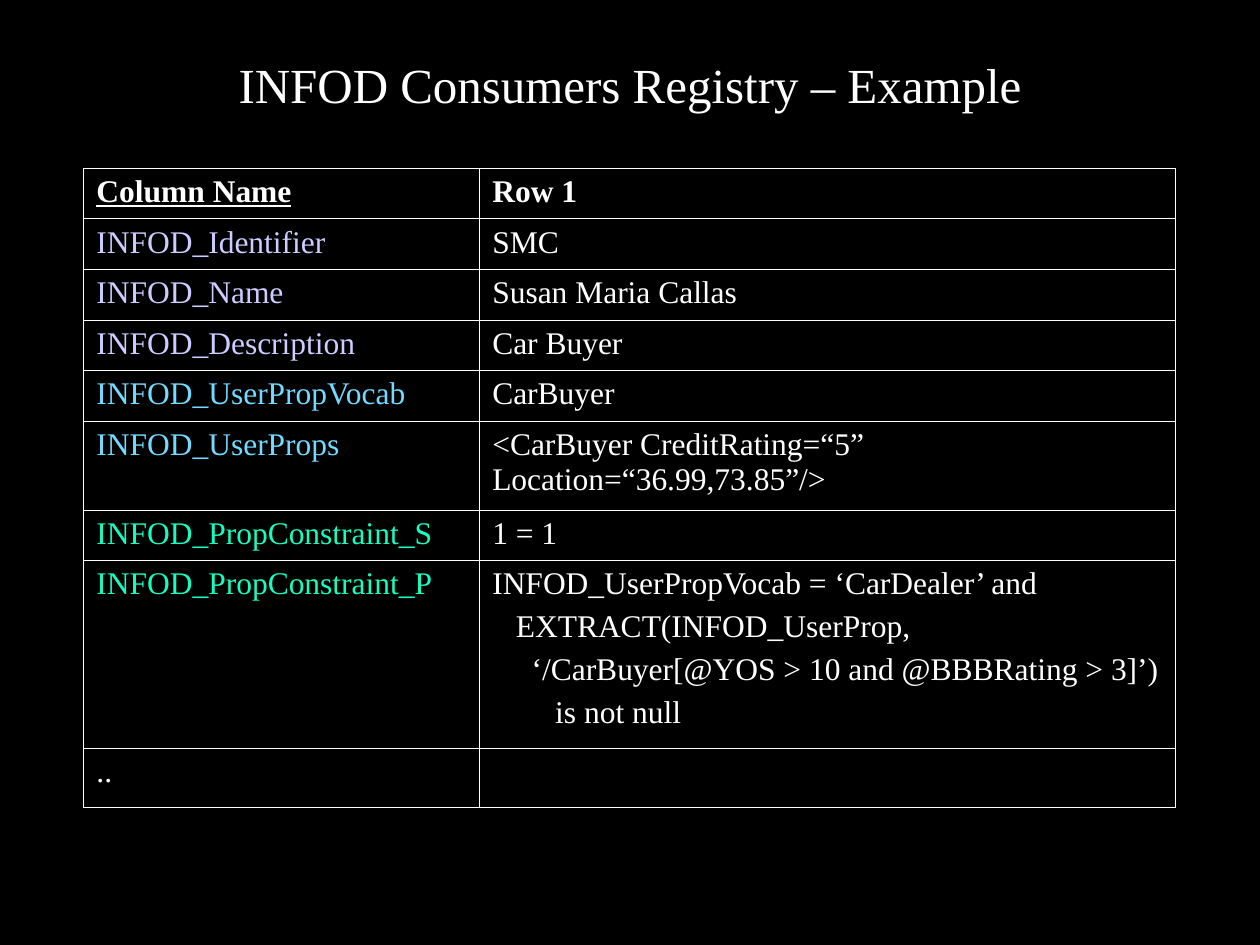
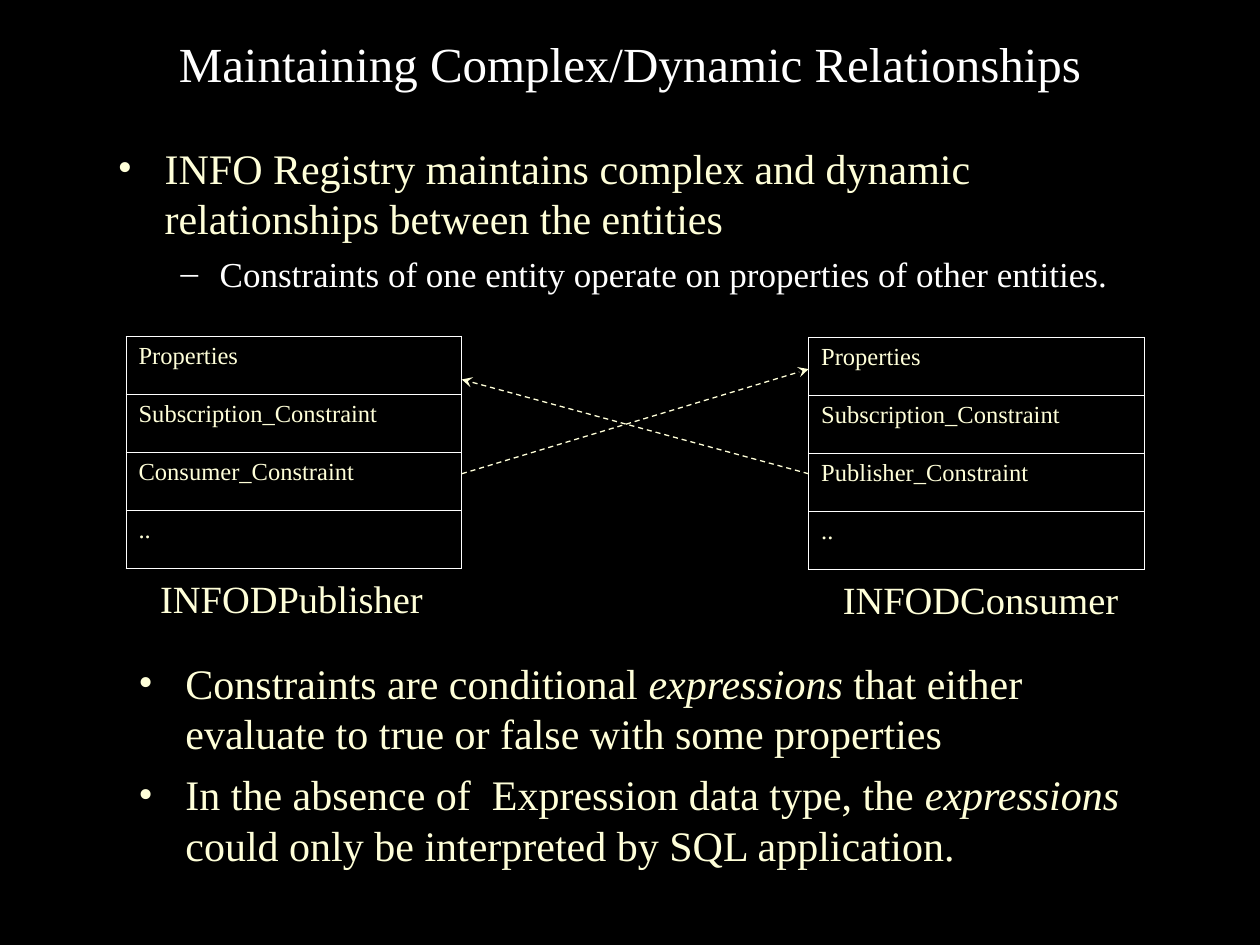
from dataclasses import dataclass

from pptx import Presentation
from pptx.dml.color import RGBColor
from pptx.enum.dml import MSO_LINE
from pptx.enum.shapes import MSO_CONNECTOR
from pptx.enum.text import MSO_ANCHOR, PP_ALIGN
from pptx.oxml.ns import qn
from pptx.util import Cm, Pt
from lxml.etree import SubElement


@dataclass(frozen=True)
class Theme:
    font: str = "Times New Roman"
    background: str = "000000"
    white: str = "FFFFFF"
    cream: str = "FFFFD9"
    lilac: str = "CCCCFF"
    sky: str = "73DAFF"
    mint: str = "13FFC1"
    title: float = 28
    bullet: float = 24
    label: float = 22
    sub_bullet: float = 20
    registry: float = 18
    entity: float = 14
    border: float = 0.45
    arrow: float = 0.75


@dataclass(frozen=True)
class Box:
    left: float
    top: float
    width: float
    height: float

    def lengths(self):
        return [Cm(v) for v in (self.left, self.top, self.width, self.height)]


THEME = Theme()

REGISTRY_ROWS = [
    ("INFOD_Identifier", THEME.lilac, ["SMC"], 1.02),
    ("INFOD_Name", THEME.lilac, ["Susan Maria Callas"], 1.02),
    ("INFOD_Description", THEME.lilac, ["Car Buyer"], 1.02),
    ("INFOD_UserPropVocab", THEME.sky, ["CarBuyer"], 1.02),
    ("INFOD_UserProps", THEME.sky,
     ["<CarBuyer CreditRating=“5”  Location=“36.99,73.85”/>"], 1.79),
    ("INFOD_PropConstraint_S", THEME.mint, ["1 = 1"], 1.02),
    ("INFOD_PropConstraint_P", THEME.mint,
     ["INFOD_UserPropVocab = ‘CarDealer’ and",
      "   EXTRACT(INFOD_UserProp,",
      "     ‘/CarBuyer[@YOS > 10 and @BBBRating > 3]’)",
      "        is not null"], 3.79),
    ("..", THEME.white, [""], 1.19),
]

BULLET_LEVELS = [
    {"mark": "•", "left": 0.95, "hang": 0.95, "before": 6,
     "size": THEME.bullet, "color": THEME.cream},
    {"mark": "–", "left": 2.06, "hang": 0.79, "before": 5,
     "size": THEME.sub_bullet, "color": THEME.white},
]


def add_run(paragraph, text, size, color, **styles):
    run = paragraph.add_run()
    run.text = text
    run.font.color.rgb = RGBColor.from_string(color)
    formats = {"name": THEME.font, "size": Pt(size), **styles}
    for attribute, value in formats.items():
        setattr(run.font, attribute, value)


def add_text_frame(slide, box):
    frame = slide.shapes.add_textbox(*box.lengths()).text_frame
    frame.word_wrap = True
    return frame


def add_titled_slide(deck, title, box):
    slide = deck.slides.add_slide(deck.slide_layouts[6])
    fill = slide.background.fill
    fill.solid()
    fill.fore_color.rgb = RGBColor.from_string(THEME.background)
    frame = add_text_frame(slide, box)
    frame.vertical_anchor = MSO_ANCHOR.MIDDLE
    heading = frame.paragraphs[0]
    heading.alignment = PP_ALIGN.CENTER
    add_run(heading, title, THEME.title, THEME.white)
    return slide


def set_bullet(paragraph, level):
    properties = paragraph._p.get_or_add_pPr()
    properties.set("marL", str(Cm(level["left"])))
    properties.set("indent", str(-Cm(level["hang"])))
    color = SubElement(properties, qn("a:buClr"))
    SubElement(color, qn("a:srgbClr"), val=level["color"])
    SubElement(properties, qn("a:buFont"), typeface=THEME.font)
    SubElement(properties, qn("a:buChar"), char=level["mark"])


def add_bullets(slide, box, items):
    """Each item is a level and its runs, every second run being italic."""
    frame = add_text_frame(slide, box)
    for index, (depth, runs) in enumerate(items):
        paragraph = frame.add_paragraph() if index else frame.paragraphs[0]
        level = BULLET_LEVELS[depth]
        set_bullet(paragraph, level)
        paragraph.level = depth
        if index:
            paragraph.space_before = Pt(level["before"])
        for position, text in enumerate(runs):
            add_run(paragraph, text, level["size"], level["color"],
                    italic=position % 2 == 1)


def add_outlined_table(slide, box, column_widths, row_heights):
    shape = slide.shapes.add_table(
        len(row_heights), len(column_widths), *box.lengths())
    table = shape.table
    table.first_row = table.horz_banding = False
    for column, width in zip(table.columns, column_widths):
        column.width = Cm(width)
    for row, height in zip(table.rows, row_heights):
        row.height = Cm(height)
    for cell in table.iter_cells():
        properties = cell._tc.get_or_add_tcPr()
        for side in ("lnL", "lnR", "lnT", "lnB"):
            line = SubElement(properties, qn(f"a:{side}"),
                              w=str(Pt(THEME.border)))
            fill = SubElement(line, qn("a:solidFill"))
            SubElement(fill, qn("a:srgbClr"), val=THEME.white)
        cell.fill.background()
    return table


def write_cell(cell, lines, size, color, **styles):
    for index, line in enumerate(lines):
        frame = cell.text_frame
        paragraph = frame.add_paragraph() if index else frame.paragraphs[0]
        if index:
            paragraph.space_before = Pt(size / 4)
        paragraph.font.size = Pt(size)
        if line:
            add_run(paragraph, line, size, color, **styles)


def add_registry(slide, box):
    name_width = 7.98
    heights = [1.02] + [height for *_, height in REGISTRY_ROWS]
    table = add_outlined_table(
        slide, box, [name_width, box.width - name_width], heights)
    write_cell(table.cell(0, 0), ["Column Name"], THEME.registry, THEME.white,
               bold=True, underline=True)
    write_cell(table.cell(0, 1), ["Row 1"], THEME.registry, THEME.white,
               bold=True)
    for row, (name, color, value, _) in enumerate(REGISTRY_ROWS, start=1):
        write_cell(table.cell(row, 0), [name], THEME.registry, color)
        write_cell(table.cell(row, 1), value, THEME.registry, THEME.white)


def add_entity(slide, box, name, constraint):
    fields = ["Properties", "Subscription_Constraint", constraint, ".."]
    table = add_outlined_table(
        slide, box, [box.width], [box.height / len(fields)] * len(fields))
    for row, field in enumerate(fields):
        write_cell(table.cell(row, 0), [field], THEME.entity, THEME.cream)
    indent = 0.44
    label = Box(box.left + indent, box.top + box.height,
                box.width - indent, 1.19)
    frame = add_text_frame(slide, label)
    add_run(frame.paragraphs[0], name, THEME.label, THEME.cream)


def add_dependency(slide, start, end):
    arrow = slide.shapes.add_connector(
        MSO_CONNECTOR.STRAIGHT, *(Cm(v) for v in (*start, *end)))
    arrow.line.color.rgb = RGBColor.from_string(THEME.cream)
    arrow.line.width = Pt(THEME.arrow)
    arrow.line.dash_style = MSO_LINE.DASH
    SubElement(arrow.line._ln, qn("a:tailEnd"), type="stealth")
    SubElement(arrow._element.spPr, qn("a:effectLst"))


def add_entity_diagram(slide, box):
    entity_width = 6.77
    publisher = Box(box.left, box.top, entity_width, box.height)
    consumer = Box(box.left + box.width - entity_width, box.top + 0.02,
                   entity_width, box.height)
    add_entity(slide, publisher, "INFODPublisher", "Consumer_Constraint")
    add_entity(slide, consumer, "INFODConsumer", "Publisher_Constraint")
    inner_left = publisher.left + entity_width
    constraint_y = box.top + 2.77
    add_dependency(slide, (consumer.left, constraint_y),
                   (inner_left, box.top + 0.87))
    add_dependency(slide, (inner_left, constraint_y),
                   (consumer.left, box.top + 0.66))


def build_registry_slide(deck):
    slide = add_titled_slide(deck, "INFOD Consumers Registry – Example",
                             Box(1.9, 0.64, 21.6, 2.12))
    add_registry(slide, Box(1.69, 3.39, 22.01, 12.89))


def build_relationships_slide(deck):
    slide = add_titled_slide(deck, "Maintaining Complex/Dynamic Relationships",
                             Box(1.9, 0.42, 21.6, 1.7))
    add_bullets(slide, Box(2.12, 2.75, 21.17, 3.81), [
        (0, ["INFO Registry maintains complex and dynamic relationships "
             "between the entities"]),
        (1, ["Constraints of one entity operate on properties of other "
             "entities."]),
    ])
    add_entity_diagram(slide, Box(2.54, 6.78, 20.53, 4.68))
    add_bullets(slide, Box(2.54, 13.13, 21.17, 4.87), [
        (0, ["Constraints are conditional ", "expressions",
             " that either evaluate to true or false with some properties"]),
        (0, ["In the absence of  Expression data type, the ", "expressions",
             " could only be interpreted by SQL application."]),
    ])


def main():
    deck = Presentation()
    deck.slide_width, deck.slide_height = Cm(25.4), Cm(19.05)
    build_registry_slide(deck)
    build_relationships_slide(deck)
    deck.save("out.pptx")


if __name__ == "__main__":
    main()
